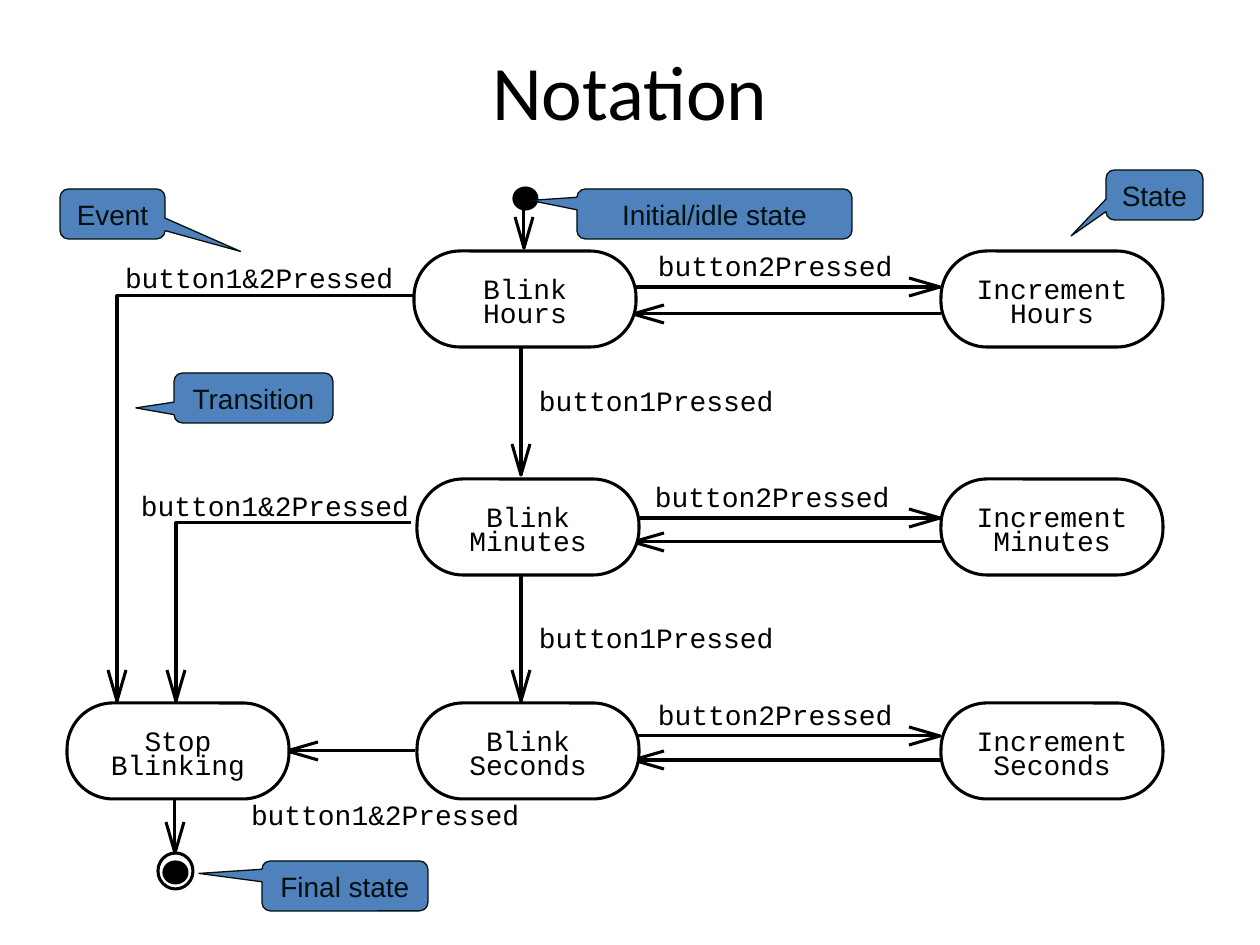
import lxml.etree
import pptx
import pptx.dml.color
import pptx.enum.shapes
import pptx.enum.text
import pptx.oxml.ns
import pptx.util

PX = 914400 // 126
COLORS = {"ink": "000000", "paper": "FFFFFF", "callout": "4F81BD", "callout_ink": "00100E"}
SHAPES = pptx.enum.shapes.MSO_SHAPE
CENTER = pptx.enum.text.PP_ALIGN.CENTER
MIDDLE = pptx.enum.text.MSO_ANCHOR.MIDDLE
STATE_WIDTH, STATE_HEIGHT = 222, 96
HEAD_LENGTH, HEAD_HALF = 31, 9


def color(name):
    return pptx.dml.color.RGBColor.from_string(COLORS[name])


def emu(*lengths):
    return [length * PX for length in lengths]


def set_line(item, name="ink", points=1.75):
    item.line.color.rgb = color(name)
    item.line.width = pptx.util.Pt(points)


def write(item, lines, font, size, ink="ink", align=None, spacing=None):
    """Fill an item with unwrapped lines of text in one style."""
    frame = item.text_frame
    frame.word_wrap = False
    frame.margin_left = frame.margin_right = frame.margin_top = frame.margin_bottom = 0
    frame.text = "\n".join(lines)
    for para in frame.paragraphs:
        para.alignment = align
        para.line_spacing = spacing
        para.font.name = font
        para.font.size = pptx.util.Pt(size)
        para.font.color.rgb = color(ink)
    return frame


def add_preset(page, kind, box, fill=None):
    shape = page.shapes.add_shape(kind, *emu(*box))
    shape.shadow.inherit = False
    if fill:
        shape.fill.solid()
        shape.fill.fore_color.rgb = color(fill)
    else:
        shape.fill.background()
    set_line(shape)
    return shape


def add_path(page, points):
    builder = page.shapes.build_freeform(*points[0], scale=PX)
    builder.add_line_segments(points[1:], close=False)
    path_shape = builder.convert_to_shape()
    path_shape.shadow.inherit = False
    path_shape.fill.background()
    set_line(path_shape)


def add_arrow(page, *points):
    """Draw a shaft through the points, with an open head at the last one."""
    if len(points) > 2:
        add_path(page, points)
    else:
        shaft = page.shapes.add_connector(
            pptx.enum.shapes.MSO_CONNECTOR.STRAIGHT, *emu(*points[0], *points[1]))
        set_line(shaft)
        lxml.etree.SubElement(shaft._element.spPr, pptx.oxml.ns.qn("a:effectLst"))
    (from_x, from_y), (x, y) = points[-2:]
    length = abs(x - from_x) + abs(y - from_y)
    step_x, step_y = (x - from_x) // length, (y - from_y) // length
    base_x, base_y = x - step_x * HEAD_LENGTH, y - step_y * HEAD_LENGTH
    side_x, side_y = step_y * HEAD_HALF, step_x * HEAD_HALF
    add_path(page, [(base_x + side_x, base_y + side_y), (x, y),
                    (base_x - side_x, base_y - side_y)])


def add_label(page, left, top, text):
    box = page.shapes.add_textbox(*emu(left, top, len(text) * 17, 34))
    write(box, [text], "Courier New", 16)


def add_state(page, left, top, *words):
    state = add_preset(page, SHAPES.ROUNDED_RECTANGLE,
                       (left, top, STATE_WIDTH, STATE_HEIGHT), "paper")
    state.adjustments[0] = 0.48
    frame = write(state, words, "Courier New", 16, align=CENTER, spacing=pptx.util.Pt(13.7))
    frame.vertical_anchor = MIDDLE
    frame.margin_top = 12 * PX


def add_dot(page, left, top):
    add_preset(page, SHAPES.OVAL, (left, top, 23, 21), "ink")


def add_unit_row(page, left, top, unit, forward, back, label):
    """Blink state and increment state of one unit, with the arrows between them."""
    right = 941
    add_arrow(page, (633, top + forward), (right - 1, top + forward))
    add_arrow(page, (right, top + back), (633, top + back))
    add_label(page, *label, "button2Pressed")
    add_state(page, left, top, "Blink", unit)
    add_state(page, right, top, "Increment", unit)


def add_start(page, left, top):
    add_dot(page, left, top)
    add_arrow(page, (left + 10, top + 12), (left + 10, top + 60))


def add_stop(page, left, top):
    """Stop state, leading down to the ringed final dot."""
    middle = left + 108
    add_arrow(page, (middle, top + STATE_HEIGHT), (middle, top + 150))
    add_state(page, left, top, "Stop", "Blinking")
    add_preset(page, SHAPES.OVAL, (middle - 17, top + 150, 35, 36))
    add_dot(page, middle - 11, top + 159)


def add_callout(page, text, box, tip_x, tip_y):
    callout = add_preset(page, SHAPES.ROUNDED_RECTANGULAR_CALLOUT, box, "callout")
    callout.adjustments[0] = tip_x
    callout.adjustments[1] = tip_y
    set_line(callout, "callout_ink", 0.75)
    frame = write(callout, [text], "Arial", 16, "callout_ink", CENTER)
    frame.vertical_anchor = MIDDLE


def add_title(page, text, box):
    title = page.shapes.add_textbox(*emu(*box))
    write(title, [text], "Calibri", 44, align=CENTER).vertical_anchor = MIDDLE
    title.text_frame.word_wrap = True


def add_diagram(page):
    add_start(page, 514, 188)
    for start, end, label_top in ((344, 475, 384), (571, 701, 621)):
        add_arrow(page, (521, start), (521, end))
        add_label(page, 539, label_top, "button1Pressed")
    add_arrow(page, (415, 296), (117, 296), (117, 701))
    add_arrow(page, (411, 523), (176, 523), (176, 701))
    add_arrow(page, (415, 751), (287, 751))
    for left, top in ((125, 261), (141, 489), (251, 798)):
        add_label(page, left, top, "button1&2Pressed")
    add_unit_row(page, 414, 251, "Hours", 36, 63, (658, 249))
    add_unit_row(page, 417, 479, "Minutes", 39, 63, (655, 480))
    add_unit_row(page, 417, 703, "Seconds", 33, 57, (658, 698))
    add_stop(page, 67, 703)


def main():
    deck = pptx.Presentation()
    deck.slide_width, deck.slide_height = emu(1260, 945)
    page = deck.slides.add_slide(deck.slide_layouts[6])
    add_title(page, "Notation", (63, 25, 1134, 130))
    add_diagram(page)
    for text, box, tip_x, tip_y in (
        ("State", (1106, 170, 97, 50), -0.86, 0.82),
        ("Initial/idle state", (577, 189, 275, 50), -0.67, -0.27),
        ("Final state", (262, 861, 166, 50), -0.88, -0.25),
        ("Transition", (174, 373, 159, 50), -0.74, 0.2),
        ("Event", (60, 189, 105, 50), 1.22, 0.75),
    ):
        add_callout(page, text, box, tip_x, tip_y)
    deck.save("out.pptx")


if __name__ == "__main__":
    main()
